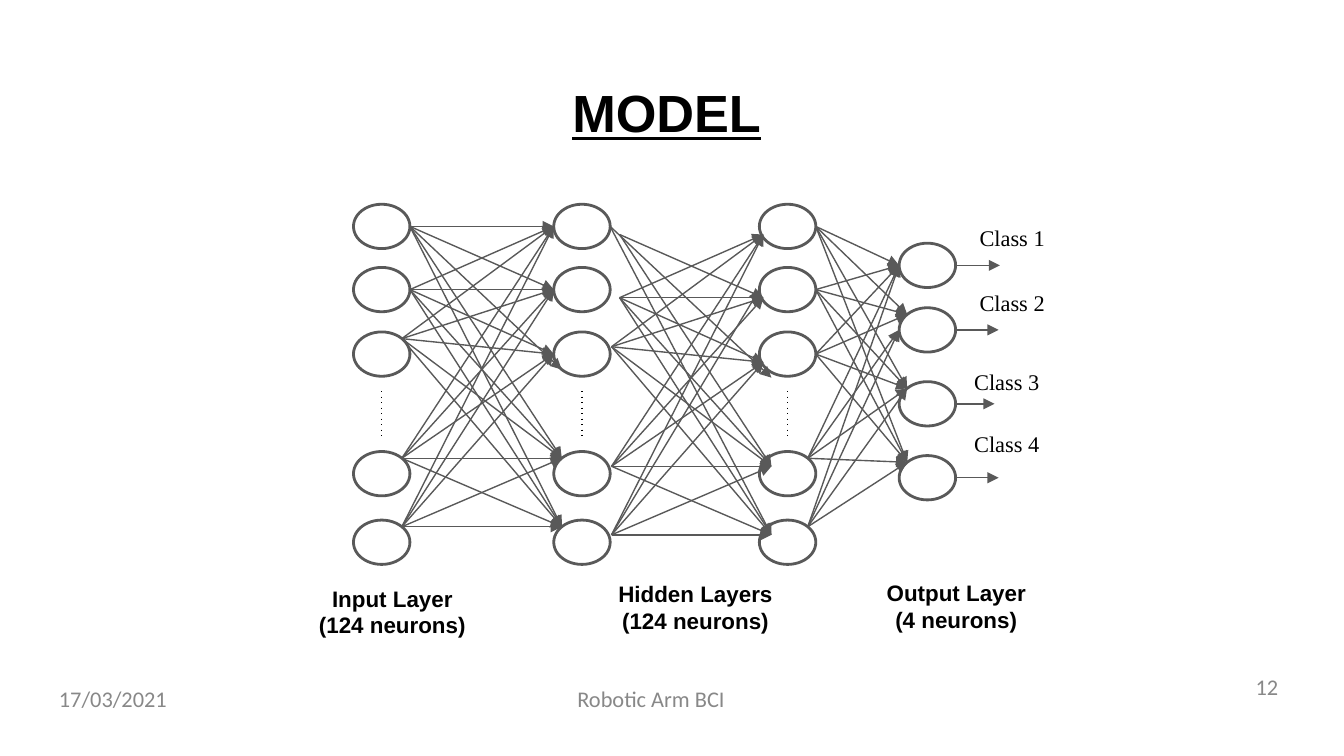
from dataclasses import dataclass

from lxml import etree
from pptx import Presentation
from pptx.dml.color import RGBColor
from pptx.enum.shapes import MSO_CONNECTOR, MSO_SHAPE
from pptx.enum.text import MSO_ANCHOR, MSO_AUTO_SIZE, PP_ALIGN
from pptx.oxml.ns import qn
from pptx.util import Inches, Pt

LEFT, CENTER, RIGHT = PP_ALIGN.LEFT, PP_ALIGN.CENTER, PP_ALIGN.RIGHT
TOP, MIDDLE = MSO_ANCHOR.TOP, MSO_ANCHOR.MIDDLE
GROW = MSO_AUTO_SIZE.SHAPE_TO_FIT_TEXT
FIXED = MSO_AUTO_SIZE.NONE


@dataclass(frozen=True)
class Theme:
    ink: RGBColor = RGBColor(0x00, 0x00, 0x00)
    line: RGBColor = RGBColor(0x59, 0x59, 0x59)
    muted: RGBColor = RGBColor(0x88, 0x88, 0x88)
    white: RGBColor = RGBColor(0xFF, 0xFF, 0xFF)
    head: str = "Arial"
    label: str = "Times New Roman"
    footer: str = "Calibri"
    title_size: int = 28
    text_size: int = 12
    outline: float = 1.5
    thin: float = 0.75


THEME = Theme()

NEURON_W, NEURON_H = 0.42, 0.33
# Where lines meet a neuron, relative to its top left corner
PORTS = {
    "left": (0, NEURON_H / 2),
    "right": (NEURON_W, NEURON_H / 2),
    "top_left": (0.06, 0.05),
    "top_right": (NEURON_W - 0.06, 0.05),
    "bottom_left": (0.06, NEURON_H - 0.05),
}

# Layer positions relative to the network's top left corner
LAYER_X = [0, 1.49, 3.02]
LAYER_Y = [0, 0.47, 0.95, 1.84, 2.35]
OUTPUT_X = 4.06
OUTPUT_Y = [0.29, 0.77, 1.32, 1.87]
HIDDEN_SHIFT = (1.56, 0.06)
CLASSES = [("Class 1", 4.56, 0.05, 0.33), ("Class 2", 4.56, 0.53, 0.32),
           ("Class 3", 4.52, 1.12, 0.29), ("Class 4", 4.52, 1.58, 0.32)]
LAYER_LABELS = [("Input Layer", "(124 neurons)", -0.36, 2.73, 1.3),
                ("Hidden Layers", "(124 neurons)", 1.85, 2.70, 1.39),
                ("Output Layer", "(4 neurons)", 3.79, 2.69, 1.39)]


def write(shape, lines, font, size, color, align=LEFT, bold=False,
          anchor=TOP, inset=0.1, auto_size=FIXED):
    tf = shape.text_frame
    tf.word_wrap = True
    tf.auto_size = auto_size
    tf.vertical_anchor = anchor
    tf.margin_left = tf.margin_right = Inches(0.1)
    tf.margin_top = tf.margin_bottom = Inches(inset)
    tf.text = "\n".join(lines)
    for p in tf.paragraphs:
        p.alignment = align
        p.font.name = font
        p.font.size = Pt(size)
        p.font.bold = bold
        p.font.color.rgb = color
    return tf


def add_text(s, box, lines, *style, **options):
    tb = s.shapes.add_textbox(*map(Inches, box))
    write(tb, lines, *style, **options)


def add_line(s, start, end, color):
    cn = s.shapes.add_connector(MSO_CONNECTOR.STRAIGHT,
                                *map(Inches, (*start, *end)))
    cn.line.color.rgb = color
    cn.line.width = Pt(THEME.thin)
    etree.SubElement(cn._element.spPr, qn("a:effectLst"))
    return cn


def add_line_end(cn, tag, **attributes):
    """Append a dash or arrowhead element to the connector's line."""
    etree.SubElement(cn.line._get_or_add_ln(), qn(tag), **attributes)


def add_arrow(s, start, end):
    cn = add_line(s, start, end, THEME.line)
    add_line_end(cn, "a:tailEnd", type="triangle")


def add_neuron(s, x, y):
    sp = s.shapes.add_shape(MSO_SHAPE.OVAL,
                            *map(Inches, (x, y, NEURON_W, NEURON_H)))
    sp.shadow.inherit = False
    sp.fill.solid()
    sp.fill.fore_color.rgb = THEME.white
    sp.line.color.rgb = THEME.line
    sp.line.width = Pt(THEME.outline)


def port(neuron, side):
    return neuron[0] + PORTS[side][0], neuron[1] + PORTS[side][1]


def fan_arrows(s, sources, targets, out_sides, in_sides, in_changes,
               shift=(0, 0), changes=None):
    """Join every source to every target.

    in_changes gives another target side for a pair; changes gives its
    (start, end) points, None keeping a point, or None to leave the pair out.
    """
    changes = changes or {}
    for i, source in enumerate(sources):
        for j, target in enumerate(targets):
            change = changes.get((i, j), (None, None))
            if change is None:
                continue
            ends = (port(source, out_sides[i]),
                    port(target, in_changes.get((i, j), in_sides[j])))
            moved = [(x + shift[0], y + shift[1]) for x, y in ends]
            add_arrow(s, change[0] or moved[0], change[1] or moved[1])


def add_title(s, box):
    title = s.shapes.title
    title.left, title.top, title.width, title.height = map(Inches, box)
    tf = write(title, ["MODEL"], THEME.head, THEME.title_size, THEME.ink,
               CENTER, bold=True)
    p = tf.paragraphs[0]
    p.line_spacing = 0.9
    p.font.underline = True


def add_footer(s, x, y):
    parts = [("12", 6.94, -0.09, 2.33, RIGHT),
             ("Robotic Arm BCI", 2.92, 0, 3.17, CENTER),
             ("17/03/2021", 0, 0, 2.33, LEFT)]
    for text, dx, dy, w, align in parts:
        add_text(s, (x + dx, y + dy, w, 0.4), [text], THEME.footer,
                 THEME.text_size, THEME.muted, align, anchor=MIDDLE, inset=0.05)


def add_network(s, x, y):
    layers = [[(x + dx, y + dy) for dy in LAYER_Y] for dx in LAYER_X]
    first, second, third = layers
    outputs = [(x + OUTPUT_X, y + dy) for dy in OUTPUT_Y]

    for layer in layers:
        for neuron in layer:
            add_neuron(s, *neuron)
        mid = layer[0][0] + NEURON_W / 2
        dots = add_line(s, (mid, y + 1.39), (mid, y + 1.73), THEME.ink)
        add_line_end(dots, "a:prstDash", val="dot")
    for neuron in outputs:
        add_neuron(s, *neuron)

    full = dict(out_sides=["right"] * 2 + ["top_right"] * 3,
                in_sides=["left"] * 3 + ["top_left"] * 2,
                in_changes={(0, 2): "bottom_left"})
    fan_arrows(s, first, second, **full)
    # The hidden fan repeats the first one, shifted, with a few loose ends
    origin = port(second[0], "right")
    fan_arrows(s, first, second, **full, shift=HIDDEN_SHIFT,
               changes={(0, 0): None, (0, 2): (origin, None),
                        (0, 4): (origin, None),
                        (4, 1): (None, port(third[1], "left"))})
    fan_arrows(s, third, outputs,
               out_sides=["right"] * 3 + ["top_right"] * 2,
               in_sides=["left"] + ["top_left"] * 3,
               in_changes={(3, 1): "left", (4, 1): "left"})

    for name, count, dx, dy, w in LAYER_LABELS:
        add_text(s, (x + dx, y + dy, w, 0.61), [name, count], THEME.head,
                 THEME.text_size, THEME.ink, CENTER, bold=True, auto_size=GROW)
    for neuron, (name, dx, dy, length) in zip(outputs, CLASSES):
        start = port(neuron, "right")
        add_arrow(s, start, (start[0] + length, start[1]))
        add_text(s, (x + dx, y + dy, 0.8, 0.4), [name], THEME.label,
                 THEME.text_size, THEME.ink, auto_size=GROW)


def main():
    prs = Presentation()
    prs.slide_width = Inches(10)
    prs.slide_height = prs.slide_width * 9 // 16
    s = prs.slides.add_slide(prs.slide_layouts[5])
    add_title(s, (0.3, 0.55, 9.32, 0.63))
    add_footer(s, 0.34, 5)
    add_network(s, 2.63, 1.52)
    prs.save("out.pptx")


if __name__ == "__main__":
    main()
